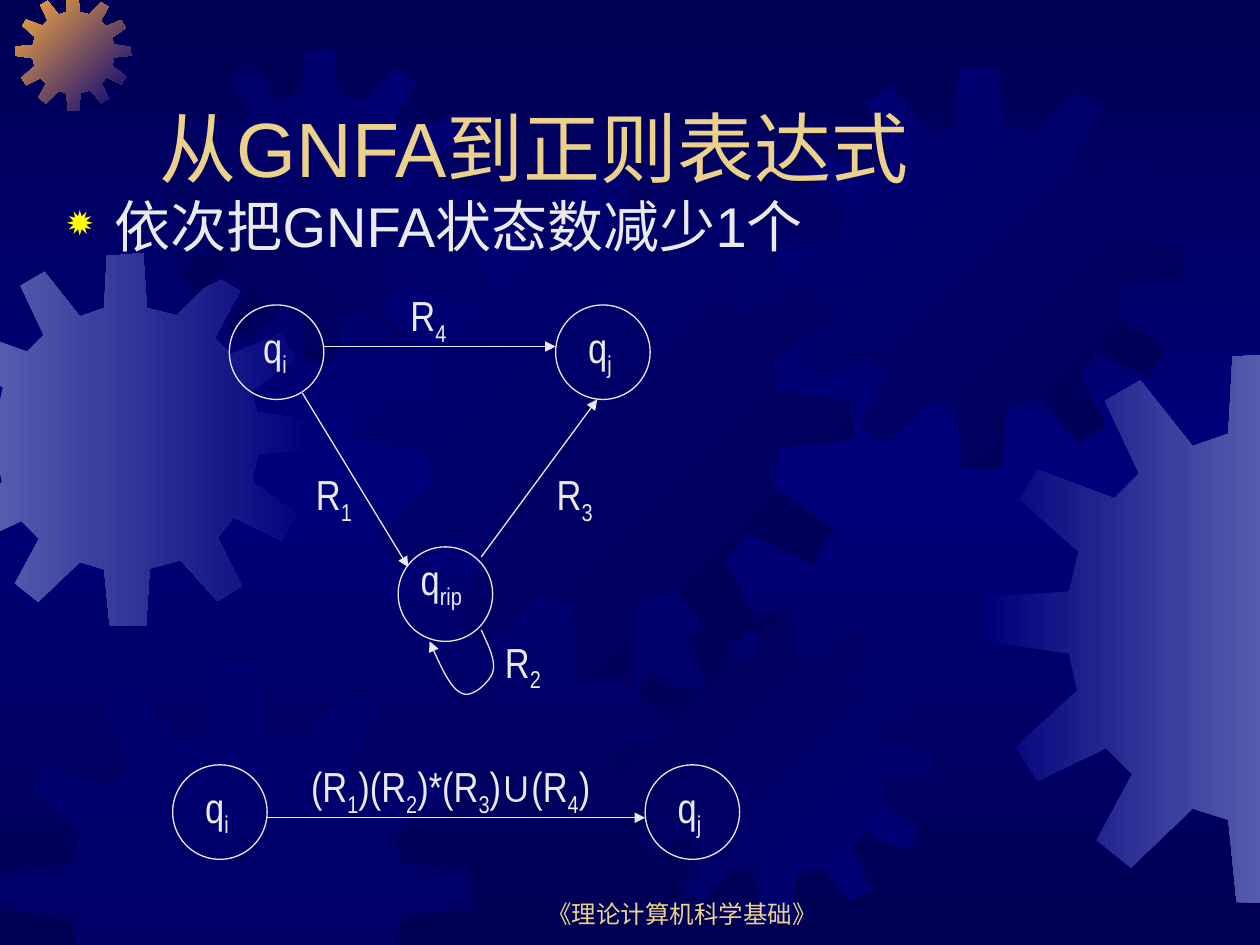
import copy

import lxml.etree
import pptx
import pptx.dml.color
import pptx.enum.dml
import pptx.enum.shapes
import pptx.enum.text
import pptx.oxml.ns
import pptx.util
from pptx.util import Inches

GOLD, PALE, YELLOW = "EBD189", "EAEAEA", "FFFF00"
NAVY, BLUE, LILAC, ORANGE = "000054", "00007A", "555BAD", "FCAB40"
WIDTH, HEIGHT = 10, 7.5
NODE_SIZE = 0.75
GEAR_SIZE = 401
GEAR_OUTLINE = [
    (255, 67), (223, 59), (219, 0), (180, 3), (177, 59), (151, 68),
    (113, 20), (87, 35), (112, 88), (94, 106), (38, 85), (25, 107),
    (68, 145), (61, 174), (1, 178), (0, 210), (61, 219), (67, 246),
    (22, 287), (38, 312), (88, 288), (107, 307), (81, 355), (106, 375),
    (151, 332), (177, 340), (183, 400), (222, 401), (226, 339), (259, 330),
    (299, 374), (325, 358), (299, 306), (316, 284), (368, 309), (384, 281),
    (336, 246), (342, 216), (401, 210), (400, 180), (341, 171), (335, 148),
    (383, 114), (367, 87), (313, 109), (296, 91), (323, 41), (297, 25),
]
GEARS = [
    (-0.48, 2.01, 2.96, LILAC, BLUE, 0),
    (0.12, -0.04, 0.92, ORANGE, BLUE, 45),
    (1.3, 0.39, 2.48, NAVY, BLUE, 315),
    (2.77, 1.39, 4.01, BLUE, NAVY, 45),
    (0, 5.25, 3.74, BLUE, None, 0),
    (4.91, 4.84, 2.48, NAVY, BLUE, 45),
    (6.18, 0.53, 3.2, BLUE, NAVY, 45),
    (7.82, 2.8, 4.37, BLUE, LILAC, 0),
]
NODES = [(1.82, 2.42), (3.16, 4.34), (4.41, 2.42), (1.37, 6.07), (5.12, 6.07)]
ARROWS = [
    (2.4, 3.12, 3.24, 4.5), (3.82, 4.42, 4.74, 3.17),
    (2.57, 2.75, 4.41, 2.75), (2.12, 6.49, 5.12, 6.49),
]
LOOP = [
    [(3.82, 5), (3.88, 5.13), (3.94, 5.25), (3.91, 5.34)],
    [(3.91, 5.34), (3.88, 5.42), (3.74, 5.55), (3.66, 5.5)],
    [(3.66, 5.5), (3.57, 5.46), (3.49, 5.27), (3.41, 5.09)],
]
LABELS = [
    (1.99, 2.5, 0.5, "q_i"), (4.57, 2.5, 0.5, "q_j"),
    (3.24, 4.34, 0.67, "q_rip"),
    (1.53, 6.15, 0.5, "q_i"), (5.28, 6.15, 0.5, "q_j"),
    (2.41, 3.67, 0.5, "R_1"), (3.91, 5, 0.5, "R_2"),
    (4.32, 3.67, 0.5, "R_3"), (3.16, 2.25, 0.5, "R_4"),
    (2.37, 5.99, 2.58, "(R_1_)(R_2_)*(R_3_)∪(R_4_)"),
]


def rgb(value):
    """Turn a hex string into a colour."""
    return pptx.dml.color.RGBColor.from_string(value)


def add_xml(parent, tag, **attributes):
    """Append a DrawingML element and return it."""
    return lxml.etree.SubElement(parent, pptx.oxml.ns.qn(tag), attributes)


def fill_gradient(fill, start, end, angle):
    """Apply a two-colour gradient at a clockwise angle."""
    fill.gradient()
    fill.gradient_angle = (360 - angle) % 360
    for stop, color, position in zip(fill.gradient_stops, (start, end), (0, 1)):
        stop.color.rgb = rgb(color)
        stop.position = position


def paint_background(slide):
    """Shade the background from dark to light and back."""
    fill_gradient(slide.background.fill, NAVY, BLUE, 90)
    stops = slide.element.xpath(".//a:gsLst")[0]
    last = copy.deepcopy(stops[0])
    stops[1].set("pos", "50000")
    last.set("pos", "100000")
    stops.append(last)


def clip(points, axis, limit, side):
    """Cut a polygon at a limit on one axis, keeping the given side."""
    kept = []
    for previous, point in zip(points[-1:] + points[:-1], points):
        before = (previous[axis] - limit) * side
        after = (point[axis] - limit) * side
        if before * after < 0:
            share = before / (before - after)
            kept.append(tuple(a + (b - a) * share for a, b in zip(previous, point)))
        if after >= 0:
            kept.append(point)
    return kept


def add_outline(slide, points, close):
    """Draw a freeform through points given in inches."""
    corners = [(Inches(x), Inches(y)) for x, y in points]
    builder = slide.shapes.build_freeform(*corners[0])
    builder.add_line_segments(corners[1:], close=close)
    outline = builder.convert_to_shape()
    outline.shadow.inherit = False
    return outline


def add_gear(slide, left, top, size, start, end, angle):
    """Draw a cogwheel trimmed to the slide."""
    scale = size / GEAR_SIZE
    points = [(left + x * scale, top + y * scale) for x, y in GEAR_OUTLINE]
    for axis, limit, side in ((0, 0, 1), (0, WIDTH, -1), (1, 0, 1), (1, HEIGHT, -1)):
        points = clip(points, axis, limit, side)
    gear = add_outline(slide, points, True)
    gear.line.fill.background()
    if end:
        fill_gradient(gear.fill, start, end, angle)
    else:
        gear.fill.solid()
        gear.fill.fore_color.rgb = rgb(start)
        color = gear.element.xpath("./p:spPr/a:solidFill/a:srgbClr")[0]
        add_xml(color, "a:alpha", val="50000")


def style_line(shape, arrow=False):
    """Give a shape its line colour and width, with an arrowhead on request."""
    shape.line.color.rgb = rgb(PALE)
    shape.line.width = pptx.util.Pt(0.75)
    if arrow:
        add_xml(shape.element.xpath("./p:spPr/a:ln")[0], "a:tailEnd", type="triangle")


def add_node(slide, left, top):
    """Draw a state circle."""
    node = slide.shapes.add_shape(
        pptx.enum.shapes.MSO_SHAPE.OVAL, Inches(left), Inches(top),
        Inches(NODE_SIZE), Inches(NODE_SIZE))
    node.shadow.inherit = False
    node.fill.background()
    style_line(node)


def add_arrow(slide, *ends):
    """Draw a straight transition."""
    arrow = slide.shapes.add_connector(
        pptx.enum.shapes.MSO_CONNECTOR.STRAIGHT, *(Inches(end) for end in ends))
    style_line(arrow, arrow=True)
    add_xml(arrow.element.spPr, "a:effectLst")


def add_loop(slide, curves, steps=12):
    """Draw the self transition along Bézier curves."""
    points = [curves[0][0]]
    for curve in curves:
        for step in range(1, steps + 1):
            t = step / steps
            weights = ((1 - t) ** 3, 3 * t * (1 - t) ** 2, 3 * t * t * (1 - t), t ** 3)
            points.append(tuple(
                sum(w * p[axis] for w, p in zip(weights, curve)) for axis in (0, 1)))
    loop = add_outline(slide, points, False)
    loop.fill.background()
    style_line(loop, arrow=True)


def add_text(slide, left, top, width, height, size, color, text="", font="Arial", anchor="TOP"):
    """Add a one-paragraph text box and return the paragraph."""
    frame = slide.shapes.add_textbox(
        Inches(left), Inches(top), Inches(width), Inches(height)).text_frame
    frame.word_wrap = True
    frame.vertical_anchor = pptx.enum.text.MSO_ANCHOR[anchor]
    paragraph = frame.paragraphs[0]
    paragraph.text = text
    paragraph.font.name = font
    paragraph.font.size = pptx.util.Pt(size)
    paragraph.font.color.rgb = rgb(color)
    return paragraph


def add_label(slide, left, top, width, formula):
    """Write a formula whose underscores switch subscripts on and off."""
    paragraph = add_text(slide, left, top, width, 0.56, 24, PALE, font="Arial Narrow")
    for index, part in enumerate(formula.split("_")):
        for piece in filter(None, part.partition("∪")):
            run = paragraph.add_run()
            run.text = piece
            if piece == "∪":
                run.font.name = "Arial"
            if index % 2:
                run._r.get_or_add_rPr().set("baseline", "-25000")


def add_bullet(paragraph):
    """Put a yellow star before a paragraph."""
    properties = paragraph._p.get_or_add_pPr()
    properties.set("marL", str(Inches(0.38)))
    properties.set("indent", str(-Inches(0.38)))
    defaults = properties[0]
    add_xml(add_xml(properties, "a:buClr"), "a:srgbClr", val=YELLOW)
    add_xml(properties, "a:buSzPct", val="80000")
    add_xml(properties, "a:buChar", char="✹")
    properties.append(defaults)


def main():
    """Build and save the slide."""
    deck = pptx.Presentation()
    deck.slide_width, deck.slide_height = Inches(WIDTH), Inches(HEIGHT)
    slide = deck.slides.add_slide(deck.slide_layouts[6])
    paint_background(slide)
    for gear in GEARS:
        add_gear(slide, *gear)
    footer = add_text(slide, 3.83, 6.92, 3.17, 0.5, 14, GOLD, "《理论计算机科学基础》", anchor="BOTTOM")
    footer.alignment = pptx.enum.text.PP_ALIGN.CENTER
    add_text(slide, 1.17, 0.33, 8.5, 1.25, 44, GOLD, "从GNFA到正则表达式", anchor="BOTTOM")
    add_bullet(add_text(slide, 0.43, 1.47, 8.5, 0.92, 32, PALE, "依次把GNFA状态数减少1个"))
    for node in NODES:
        add_node(slide, *node)
    for arrow in ARROWS:
        add_arrow(slide, *arrow)
    add_loop(slide, LOOP)
    for label in LABELS:
        add_label(slide, *label)
    deck.save("out.pptx")


if __name__ == "__main__":
    main()
